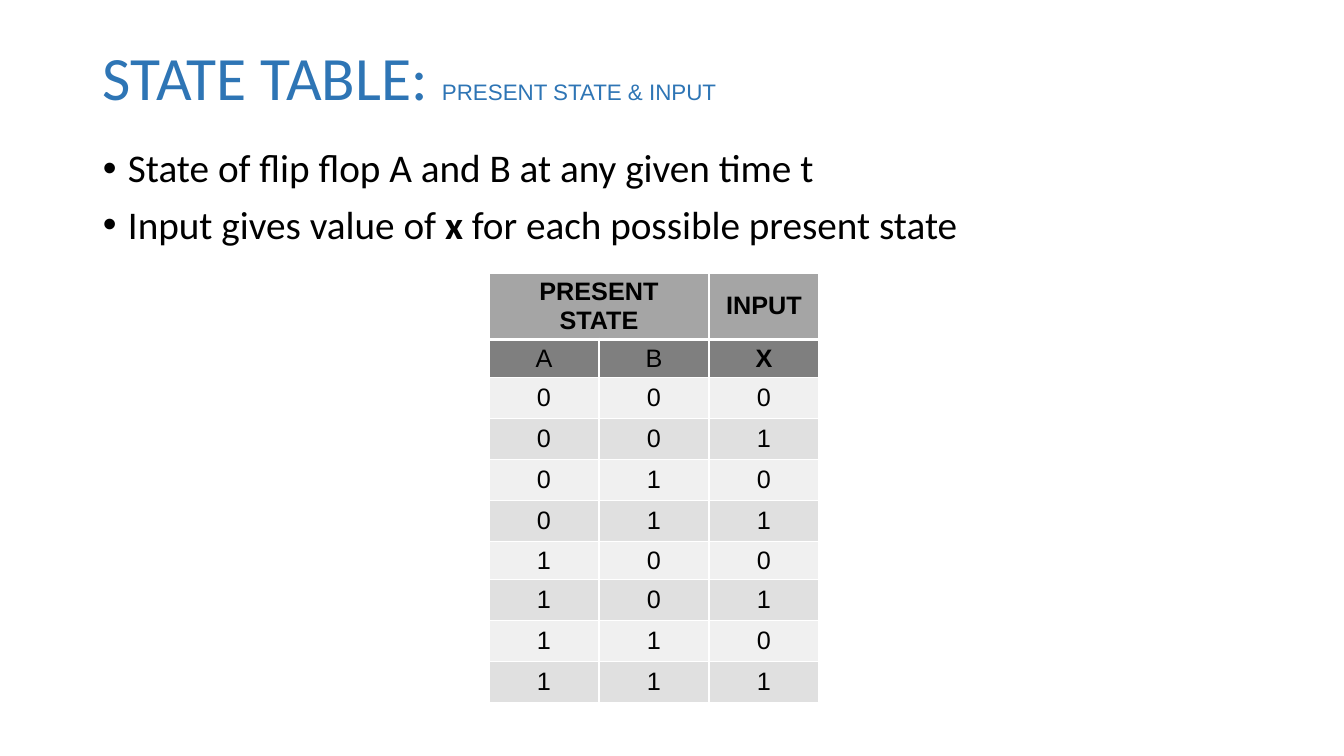
from itertools import product

from lxml import etree
from pptx import Presentation
from pptx.dml.color import RGBColor
from pptx.enum.text import MSO_ANCHOR, MSO_AUTO_SIZE, PP_ALIGN
from pptx.oxml.ns import qn
from pptx.util import Pt

PX = 9071  # EMU per px, at 100.8 px to the inch
MIDDLE, TOP = MSO_ANCHOR.MIDDLE, MSO_ANCHOR.TOP
NO_AUTOFIT = MSO_AUTO_SIZE.NONE
LEFT, CENTER = PP_ALIGN.LEFT, PP_ALIGN.CENTER

BLUE = RGBColor(0x2E, 0x75, 0xB5)
BLACK = RGBColor(0x00, 0x00, 0x00)
WHITE = RGBColor(0xFF, 0xFF, 0xFF)
HEADER_GREY = RGBColor(0xA5, 0xA5, 0xA5)
NAMES_GREY = RGBColor(0x7F, 0x7F, 0x7F)
BAND_GREYS = (RGBColor(0xF0, 0xF0, 0xF0), RGBColor(0xE0, 0xE0, 0xE0))

TITLE_ONLY = 5


class SlideBuilder:
    heading_font = "Calibri"
    table_font = "Arial"

    def __init__(self, deck):
        self.slide = deck.slides.add_slide(deck.slide_layouts[TITLE_ONLY])

    def set_frame(self, frame, anchor, bottom=5):
        frame.word_wrap = True
        frame.auto_size = NO_AUTOFIT
        frame.vertical_anchor = anchor
        frame.margin_left = frame.margin_right = 10 * PX
        frame.margin_top = 5 * PX
        frame.margin_bottom = bottom * PX

    def title(self, left, top, width, height, heading, subheading):
        box = self.slide.shapes.title
        box.left, box.top = left * PX, top * PX
        box.width, box.height = width * PX, height * PX
        self.set_frame(box.text_frame, MIDDLE, bottom=28)
        para = box.text_frame.paragraphs[0]
        para.alignment = LEFT
        para.line_spacing = 0.9
        para.font.color.rgb = BLUE
        for text, size, font in ((heading, 44, self.heading_font),
                                 (subheading, 16, self.table_font)):
            span = para.add_run()
            span.text = text
            span.font.size = Pt(size)
            span.font.name = font

    def bullets(self, left, top, width, height, items):
        """Each item is a list of (text, bold) spans."""
        box = self.slide.shapes.add_textbox(
            left * PX, top * PX, width * PX, height * PX)
        frame = box.text_frame
        self.set_frame(frame, TOP)
        for index, item in enumerate(items):
            para = frame.add_paragraph() if index else frame.paragraphs[0]
            properties = para._p.get_or_add_pPr()
            properties.set("marL", str(25 * PX))
            properties.set("indent", str(-25 * PX))
            para.line_spacing = 0.9
            if index:
                para.space_before = Pt(10)
            etree.SubElement(properties, qn("a:buFont"), typeface="Arial")
            etree.SubElement(properties, qn("a:buChar"), char="•")
            para.font.size = Pt(28)
            para.font.name = self.heading_font
            para.font.color.rgb = BLACK
            for text, bold in item:
                span = para.add_run()
                span.text = text
                if bold:
                    span.font.bold = True

    def table(self, left, top, column_width, row_heights, rows, fills):
        columns = len(rows[0])
        table = self.slide.shapes.add_table(
            len(rows), columns, left * PX, top * PX,
            column_width * columns * PX, sum(row_heights) * PX).table
        for column in table.columns:
            column.width = column_width * PX
        for index, height in enumerate(row_heights):
            table.rows[index].height = height * PX
            for column, text in enumerate(rows[index]):
                bold = index == 0 or text == "X"
                self.cell(table.cell(index, column), text, bold, fills[index],
                          top_line=3 if index == 1 else 1,
                          bottom_line=3 if index == 0 else 1)
        return table

    def cell(self, cell, text, bold, fill, top_line, bottom_line):
        cell.vertical_anchor = MIDDLE
        cell.margin_left = cell.margin_right = 10 * PX
        cell.margin_top = cell.margin_bottom = 5 * PX
        properties = cell._tc.get_or_add_tcPr()
        for side, points in (("L", 1), ("R", 1),
                             ("T", top_line), ("B", bottom_line)):
            line = etree.SubElement(
                properties, qn(f"a:ln{side}"), w=str(Pt(points)))
            solid = etree.SubElement(line, qn("a:solidFill"))
            etree.SubElement(solid, qn("a:srgbClr"), val=str(WHITE))
        cell.fill.solid()
        cell.fill.fore_color.rgb = fill
        para = cell.text_frame.paragraphs[0]
        para.alignment = CENTER
        para.font.size = Pt(18)
        para.font.name = self.table_font
        para.font.bold = bold
        para.font.color.rgb = BLACK
        if text:
            para.add_run().text = text


def main():
    deck = Presentation()
    deck.slide_width, deck.slide_height = 1344 * PX, 756 * PX
    builder = SlideBuilder(deck)

    builder.title(93, 40, 1159, 104, "STATE TABLE: ", "PRESENT STATE & INPUT")
    builder.bullets(93, 144, 1159, 536, [
        [("State of flip flop A and B at any given time t", False)],
        [("Input gives value of ", False), ("x", True),
         (" for each possible present state", False)],
    ])

    states = list(product("01", repeat=3))
    state_table = builder.table(
        489, 273, 110,
        row_heights=[66, 38] + [41] * 4 + [38] + [41] * 3,
        rows=[("PRESENT STATE", "", "INPUT"), ("A", "B", "X")] + states,
        fills=[HEADER_GREY, NAMES_GREY] + list(BAND_GREYS) * 4)
    state_table.cell(0, 0).merge(state_table.cell(0, 1))

    deck.save("out.pptx")


if __name__ == "__main__":
    main()
